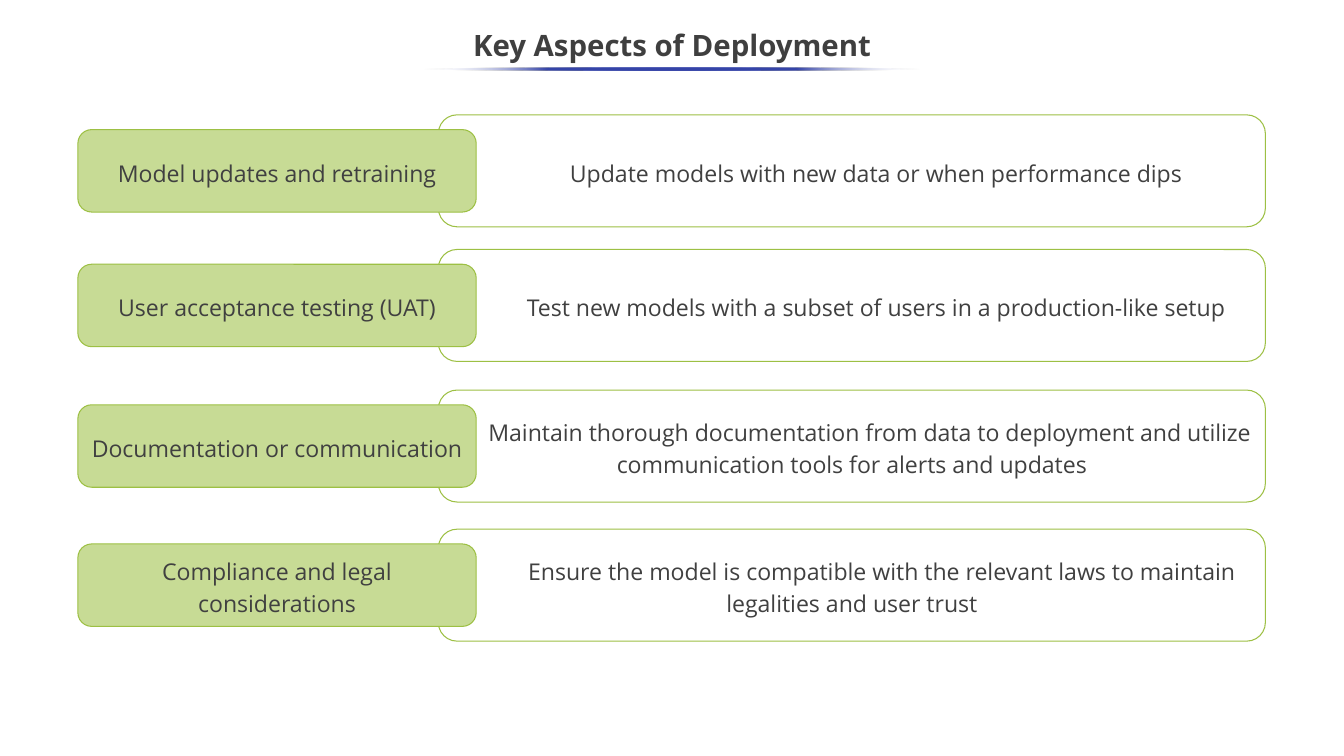
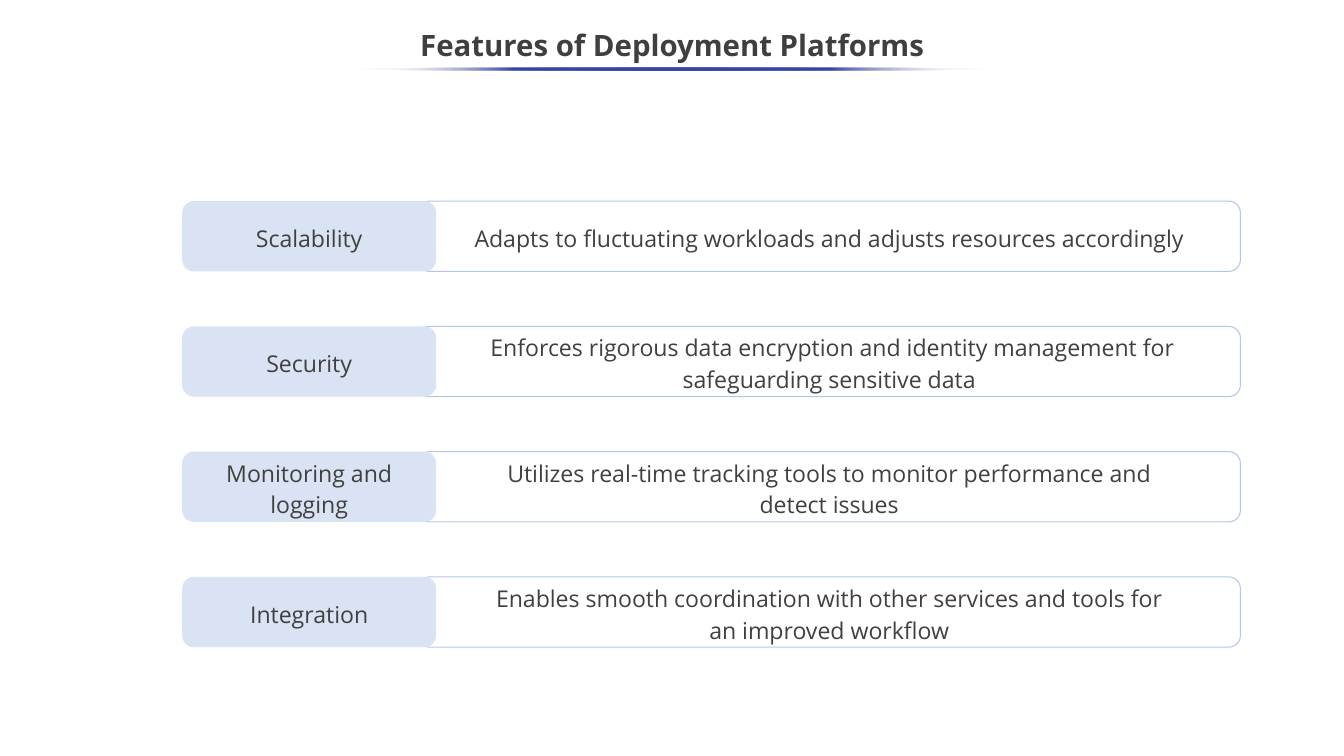
from lxml import etree
from pptx import Presentation
from pptx.dml.color import RGBColor
from pptx.enum.shapes import MSO_SHAPE as Preset
from pptx.enum.text import MSO_ANCHOR as Anchor, PP_ALIGN as Align
from pptx.oxml import parse_xml
from pptx.oxml.ns import nsdecls, qn
from pptx.util import Pt

PAGE_WIDTH, PAGE_HEIGHT = 1280.16, 720
FONT = "Open Sans"
COLOURS = {
    "title": "3F3F3F",
    "text": "404040",
    "rule": "3645A9",
    "rule_end": "FFFFFF",
    "white": "FFFFFF",
    "green": "C7DB95",
    "green_line": "9DC044",
    "blue": "DAE3F3",
    "blue_line": "B4C7E7",
}

ASPECTS = [
    (109.4, "Model updates and retraining",
     ["Update models with new data or when performance dips"], 46),
    (237.6, "User acceptance testing (UAT)",
     ["Test new models with a subset of users in a production-like setup"], 46),
    (371.5, "Documentation or communication",
     ["Maintain thorough documentation from data to deployment and utilize "
      "communication tools for alerts and updates"], 34),
    (504, "Compliance and legal considerations",
     ["Ensure the model is compatible with the relevant laws to maintain "
      "legalities and user trust"], 57),
]
FEATURES = [
    ("Scalability",
     ["Adapts to fluctuating workloads and adjusts resources accordingly"], 0),
    ("Security",
     ["Enforces rigorous data encryption and identity management for "
      "safeguarding sensitive data"], 6),
    ("Monitoring and logging",
     ["Utilizes real-time tracking tools to monitor performance and",
      "detect issues"], 0),
    ("Integration",
     ["Enables smooth coordination with other services and tools for",
      "an improved workflow"], 0),
]


def colour(name):
    return RGBColor.from_string(COLOURS[name])


def write(frame, lines, size, ink, spacing, bold=False, indent=0):
    frame.word_wrap = True
    frame.vertical_anchor = Anchor.MIDDLE
    frame.text = "\n".join(lines)
    for para in frame.paragraphs:
        para.alignment = Align.CENTER
        para.line_spacing = spacing
        if indent:
            properties = para._p.get_or_add_pPr()
            properties.set("marL", "0")
            properties.set("indent", str(Pt(indent)))
        for span in para.runs:
            span.font.name = FONT
            span.font.size = Pt(size)
            span.font.bold = bold
            span.font.color.rgb = colour(ink)


def add_preset(page, preset, box, fill=None, line=None):
    shape = page.shapes.add_shape(preset, *map(Pt, box))
    shape.shadow.inherit = False
    if fill:
        shape.fill.solid()
        shape.fill.fore_color.rgb = colour(fill)
    else:
        shape.fill.background()
    if line:
        shape.line.color.rgb = colour(line)
        shape.line.width = Pt(1)
    else:
        shape.line.fill.background()
    return shape


def fade_ends(shape):
    gradient = parse_xml(f'<a:gradFill {nsdecls("a")} rotWithShape="1"><a:gsLst/>'
                         '<a:lin ang="10800000" scaled="0"/></a:gradFill>')
    for percent in range(0, 101, 25):
        stop = etree.SubElement(gradient[0], qn("a:gs"), pos=str(percent * 1000))
        is_end = percent in (0, 100)
        tint = etree.SubElement(stop, qn("a:srgbClr"),
                                val=COLOURS["rule_end" if is_end else "rule"])
        if is_end:
            etree.SubElement(tint, qn("a:alpha"), val="0")
    properties = shape._element.spPr
    properties.replace(properties.find(qn("a:noFill")), gradient)


def add_title(page, title, rule_width):
    box = page.shapes.add_textbox(Pt(0), Pt(18), Pt(PAGE_WIDTH), Pt(54))
    write(box.text_frame, [title], 28, "title", 0.9, bold=True)
    rule_left = (PAGE_WIDTH - rule_width) / 2
    fade_ends(add_preset(page, Preset.OVAL, (rule_left, 64.2, rule_width, 3)))


def add_row(page, box, label, lines, indent, label_size, panel_left, label_fill,
            label_line, panel_fill, panel_line):
    left, top, width, height = box
    label_width, label_height = label_size
    panel = add_preset(page, Preset.ROUNDED_RECTANGLE,
                       (left + panel_left, top, width - panel_left, height),
                       panel_fill, panel_line)
    write(panel.text_frame, lines, 22, "text", 1.15, indent=indent)
    tab = add_preset(page, Preset.ROUNDED_RECTANGLE,
                     (left, top + (height - label_height) / 2, label_width, label_height),
                     label_fill, label_line)
    write(tab.text_frame, [label], 22, "text", 1.15)


def add_aspects_page(deck):
    page = deck.slides.add_slide(deck.slide_layouts[6])
    add_title(page, "Key Aspects of Deployment", 473.8)
    for top, label, lines, indent in ASPECTS:
        add_row(page, (74.2, top, 1131.1, 106.6), label, lines, indent,
                (379.4, 78.5), 343.4, "green", "green_line", "white", "green_line")


def add_features_page(deck):
    page = deck.slides.add_slide(deck.slide_layouts[6])
    add_title(page, "Features of Deployment Platforms", 599.8)
    first_top, pitch = 191.5, 119.3
    for index, (label, lines, indent) in enumerate(FEATURES):
        add_row(page, (173.5, first_top + index * pitch, 1008, 67), label, lines, indent,
                (242, 67), 224.6, "blue", None, None, "blue_line")


def main():
    deck = Presentation()
    deck.slide_width, deck.slide_height = Pt(PAGE_WIDTH), Pt(PAGE_HEIGHT)
    add_aspects_page(deck)
    add_features_page(deck)
    deck.save("out.pptx")


if __name__ == "__main__":
    main()
